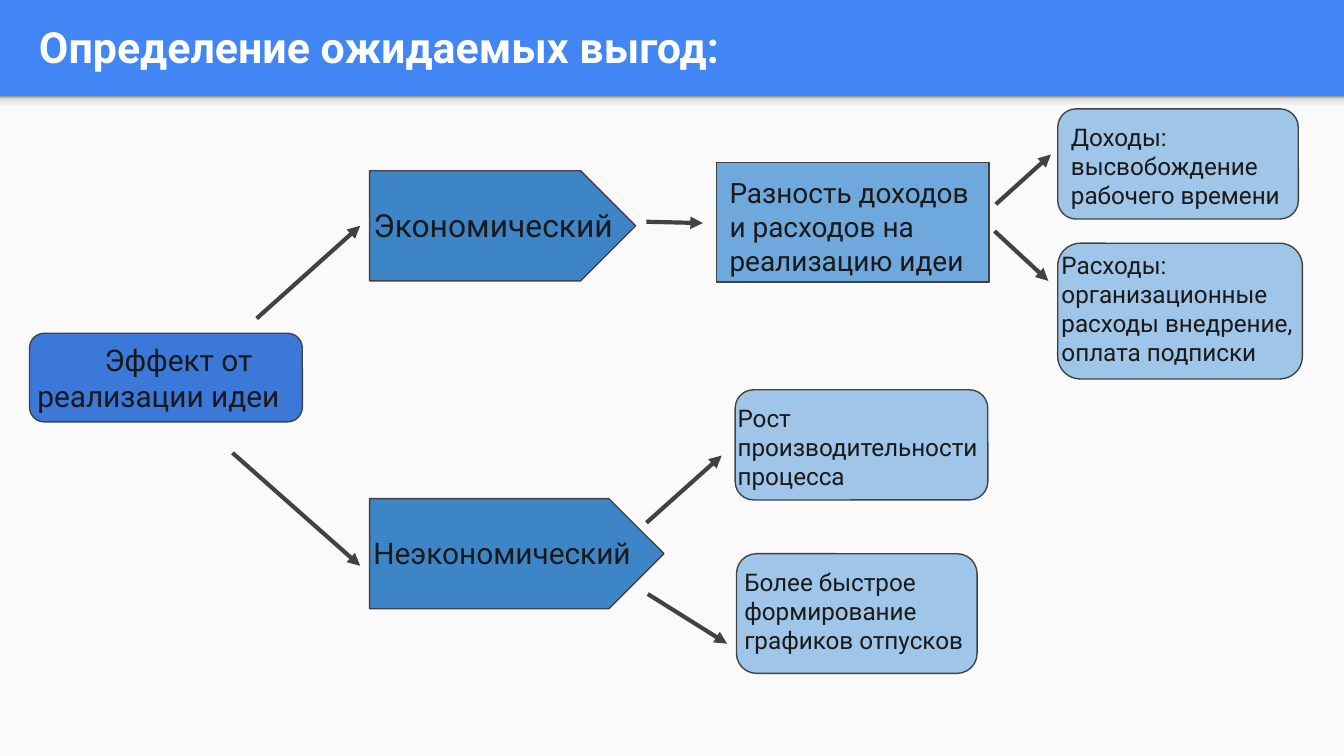
from copy import deepcopy

from lxml.etree import SubElement
from pptx import Presentation
from pptx.dml.color import RGBColor
from pptx.enum.shapes import MSO_CONNECTOR, MSO_SHAPE
from pptx.enum.text import MSO_ANCHOR, PP_ALIGN
from pptx.oxml.ns import qn
from pptx.util import Inches, Pt

FONT = "Roboto"
COLORS = {
    "header": "4285F4", "panel": "FAFAFA", "title": "FFFFFF",
    "text": "1A1A1A", "line": "424242",
    "effect": "3C78D8", "kind": "3D85C6", "difference": "6FA8DC", "result": "9FC5E8",
}
SHADOW_STOPS = [(0.36, "F9F9F9"), (0.8, "DEDEDE"), (1, "999999")]
WIDTH = Inches(10)
HEIGHT = WIDTH * 9 // 16
UNIT = WIDTH / 100
HEADER_HEIGHT = 7.15
TITLE = "Определение ожидаемых выгод:"

ROUNDED, PENTAGON, RECTANGLE = (
    MSO_SHAPE.ROUNDED_RECTANGLE, MSO_SHAPE.PENTAGON, MSO_SHAPE.RECTANGLE)

NODES = [
    ("Эффект от реализации идеи", ROUNDED, "effect", 16, 5,
     (2.2, 24.8, 20.3, 6.6), (1.8, 24.4, 22.6, 5.2)),
    ("Экономический", PENTAGON, "kind", 17, 0,
     (27.5, 12.7, 19.8, 8.2), (26.8, 14.3, 21.3, 4.4)),
    ("Неэкономический", PENTAGON, "kind", 16, 0,
     (27.5, 37.1, 21.9, 8.2), (26.8, 38.8, 24.8, 6.6)),
    ("Разность доходов и расходов на реализацию идеи", RECTANGLE, "difference", 15, 0,
     (53.3, 12.1, 20.3, 8.9), (53.3, 12.1, 21.3, 6)),
    ("Доходы: высвобождение рабочего времени", ROUNDED, "result", 13, 0,
     (78.7, 8.1, 17.9, 8.2), (78.7, 8.1, 17.9, 6.6)),
    ("Расходы: организационные расходы внедрение, оплата подписки", ROUNDED, "result", 13, 0,
     (78.7, 18.1, 18.2, 10.1), (78, 17.6, 20.7, 6.6)),
    ("Рост производительности процесса", ROUNDED, "result", 13, 0,
     (54.7, 29, 18.8, 8.2), (53.9, 29, 20.3, 6.6)),
    ("Более быстрое формирование графиков отпусков", ROUNDED, "result", 13, 0,
     (54.8, 41.2, 17.9, 8.9), (54.4, 41.2, 18.8, 6.6)),
]
ARROWS = [
    (19.1, 23.7, 26.8, 16.8), (17.3, 33.7, 26.8, 42.1),
    (48.1, 16.5, 52.3, 16.6),
    (74.1, 15.2, 78.2, 11.5), (74, 17.2, 78, 20.9),
    (48.1, 38.9, 53.7, 33.9), (48.2, 44.2, 54.1, 47.9),
]


def color(name):
    return RGBColor.from_string(COLORS[name])


def scale(lengths):
    return [round(length * UNIT) for length in lengths]


def add_block(slide, preset, area, fill_name, outlined=True):
    shape = slide.shapes.add_shape(preset, *scale(area))
    shape.shadow.inherit = False
    shape.fill.solid()
    shape.fill.fore_color.rgb = color(fill_name)
    if outlined:
        shape.line.color.rgb = color("line")
        shape.line.width = Pt(0.75)
    else:
        shape.line.fill.background()
    return shape


def write_text(shape, text, size, color_name, bold=False, indent=0):
    frame = shape.text_frame
    frame.word_wrap = True
    frame.margin_left = frame.margin_right = Inches(0.1)
    frame.margin_top = frame.margin_bottom = Inches(0.1)
    paragraph = frame.paragraphs[0]
    paragraph.alignment = PP_ALIGN.LEFT
    if indent:
        paragraph._p.get_or_add_pPr().set("indent", str(round(indent * UNIT)))
    run = paragraph.add_run()
    run.text = text
    run.font.name = FONT
    run.font.size = Pt(size)
    run.font.bold = bold
    run.font.color.rgb = color(color_name)
    return frame


def add_header_shadow(slide):
    shadow = add_block(slide, RECTANGLE, (0, HEADER_HEIGHT, 100, 1.2), "panel", False)
    shadow.fill.gradient()
    shadow.fill.gradient_angle = 90
    stop_list = shadow._element.spPr.find(qn("a:gradFill")).find(qn("a:gsLst"))
    stop_list.insert(1, deepcopy(stop_list[0]))
    for stop, (position, shade) in zip(shadow.fill.gradient_stops, SHADOW_STOPS):
        stop.position = position
        stop.color.rgb = RGBColor.from_string(shade)


def add_arrow(slide, ends):
    arrow = slide.shapes.add_connector(MSO_CONNECTOR.STRAIGHT, *scale(ends))
    arrow.line.color.rgb = color("line")
    arrow.line.width = Pt(2.25)
    SubElement(arrow.line._get_or_add_ln(), qn("a:tailEnd"), type="triangle")
    SubElement(arrow._element.spPr, qn("a:effectLst"))


def main():
    presentation = Presentation()
    presentation.slide_width, presentation.slide_height = WIDTH, HEIGHT
    slide = presentation.slides.add_slide(presentation.slide_layouts[5])
    slide.background.fill.solid()
    slide.background.fill.fore_color.rgb = color("header")

    title = slide.shapes.title
    title.left, title.top, title.width, title.height = scale((1.1, 0.15, 96.5, 6.6))
    frame = write_text(title, TITLE, 23, "title", bold=True)
    frame.margin_left = Inches(0.18)
    frame.vertical_anchor = MSO_ANCHOR.MIDDLE

    panel_height = HEIGHT / UNIT - HEADER_HEIGHT
    add_block(slide, RECTANGLE, (0, HEADER_HEIGHT, 100, panel_height), "panel", False)
    add_header_shadow(slide)

    for text, preset, fill_name, size, indent, area, label_area in NODES:
        add_block(slide, preset, area, fill_name)
        label = slide.shapes.add_textbox(*scale(label_area))
        write_text(label, text, size, "text", indent=indent)
    for ends in ARROWS:
        add_arrow(slide, ends)
    presentation.save("out.pptx")


if __name__ == "__main__":
    main()
